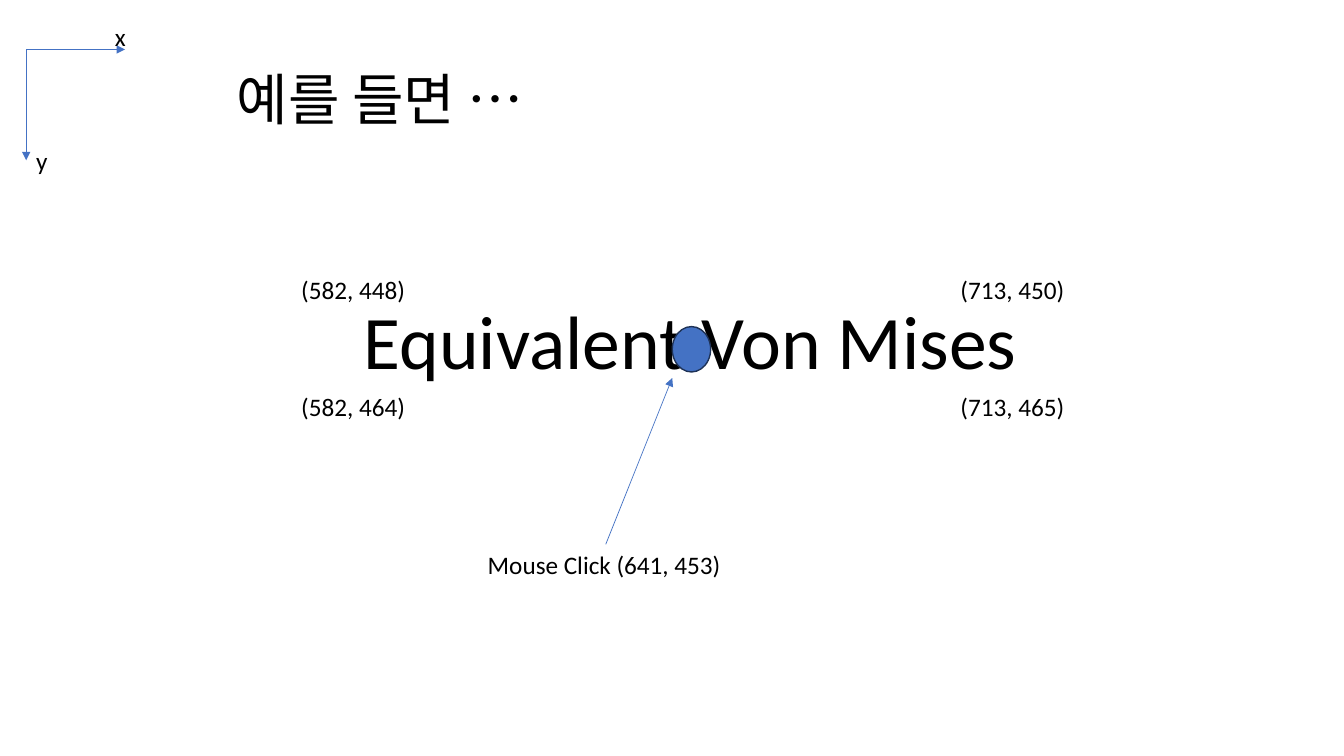
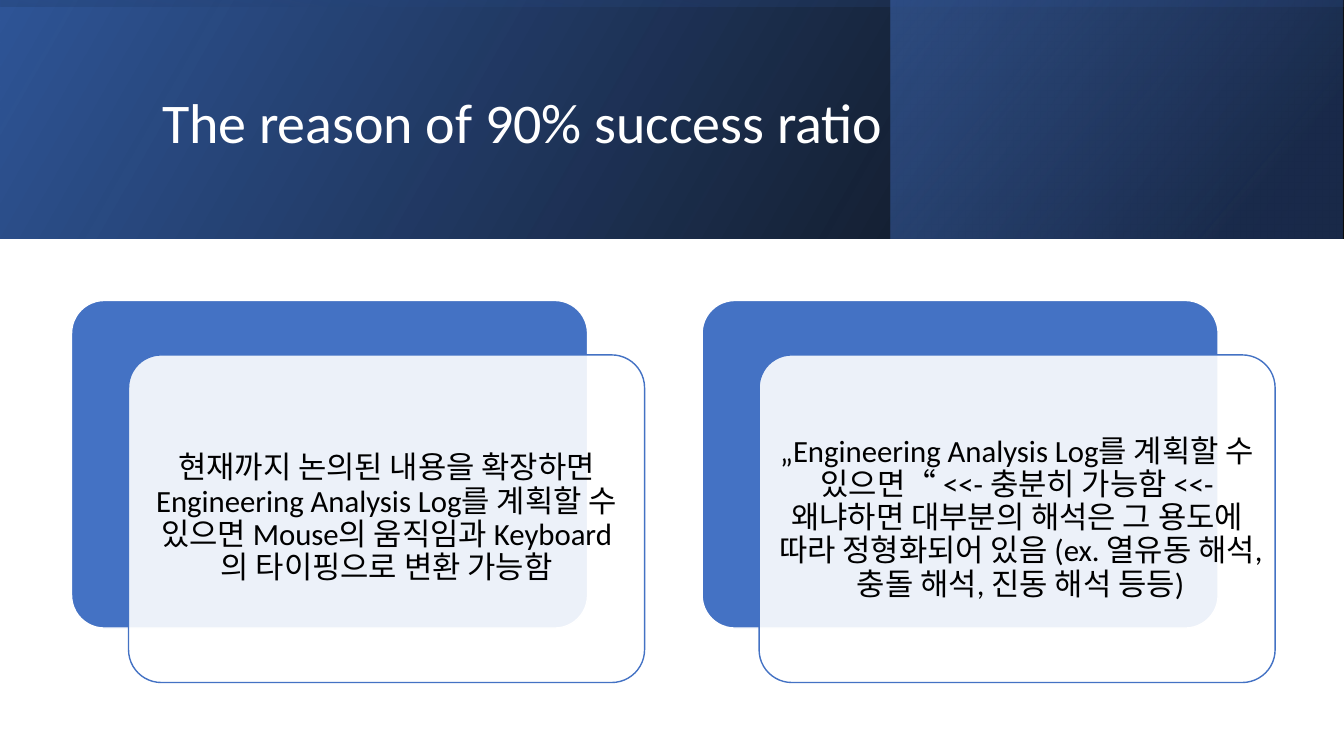
from lxml.etree import SubElement
from pptx import Presentation
from pptx.dml.color import RGBColor
from pptx.enum.shapes import MSO_CONNECTOR, MSO_SHAPE
from pptx.enum.text import MSO_ANCHOR, MSO_AUTO_SIZE, PP_ALIGN
from pptx.oxml.ns import qn
from pptx.util import Pt

FONT = "Calibri"
WIDE, HIGH = 960, 540
BAND = 170.6
COLORS = {
    "black": "000000",
    "white": "FFFFFF",
    "blue": "4472C4",
    "edge": "1E3256",
    "deep": "2F5597",
    "navy": "203864",
}


def color(name):
    return RGBColor.from_string(COLORS[name])


def points(*nums):
    return [Pt(num) for num in nums]


def fade(fill, percent):
    """Set the opacity of a colour element's parent."""
    tint = next(fill.iter(qn("a:srgbClr")))
    SubElement(tint, qn("a:alpha"), val=str(percent * 1000))


# Text
def write(frame, text, size, ink="black", space=None):
    frame.word_wrap = True
    para = frame.paragraphs[0]
    para.line_spacing = space
    run = para.add_run()
    run.text = text
    run.font.name = FONT
    run.font.size = Pt(size)
    run.font.color.rgb = color(ink)
    return para


def label(slide, text, left, top, width, height=28.8, size=18):
    frame = slide.shapes.add_textbox(*points(left, top, width, height)).text_frame
    write(frame, text, size)
    frame.auto_size = MSO_AUTO_SIZE.SHAPE_TO_FIT_TEXT


def title(slide, text, box, ink="black", space=None):
    frame = slide.shapes.add_textbox(*points(*box)).text_frame
    frame.vertical_anchor = MSO_ANCHOR.MIDDLE
    write(frame, text, 40, ink, space)


# Shapes and lines
def block(slide, kind, box, fill=None, line=None):
    shape = slide.shapes.add_shape(kind, *points(*box))
    shape.shadow.inherit = False
    if fill:
        shape.fill.solid()
        shape.fill.fore_color.rgb = color(fill)
    if line:
        shape.line.color.rgb = color(line)
        shape.line.width = Pt(1)
    else:
        shape.line.fill.background()
    return shape


def arrow(slide, start, end):
    line = slide.shapes.add_connector(MSO_CONNECTOR.STRAIGHT, *points(*start, *end))
    line.line.color.rgb = color("blue")
    line.line.width = Pt(0.5)
    SubElement(line.line._get_or_add_ln(), qn("a:tailEnd"), type="triangle")
    SubElement(line.element.spPr, qn("a:effectLst"))


def shade(slide, box, angle, stops, turn=0):
    """Draw a mirrored rectangle with a two-stop gradient."""
    shape = block(slide, MSO_SHAPE.RECTANGLE, box)
    shape.rotation = turn
    shape.element.spPr.xfrm.set("flipH", "1")
    shape.fill.gradient()
    shape.fill.gradient_angle = 360 - angle
    tags = shape.element.spPr.iter(qn("a:gs"))
    for stop, tag, (place, name, alpha) in zip(shape.fill.gradient_stops, tags, stops):
        stop.position = place / 100
        stop.color.rgb = color(name)
        if alpha < 100:
            fade(tag, alpha)


def card(slide, left, top, text):
    width, height = 368.6, 234
    back = block(slide, MSO_SHAPE.ROUNDED_RECTANGLE,
                 (left, top, width, height), "blue", "white")
    front = block(slide, MSO_SHAPE.ROUNDED_RECTANGLE,
                  (left + 40.7, top + 38.9, width, height), "white", "blue")
    for shape in (back, front):
        shape.adjustments[0] = 0.1
    fade(front.element.spPr.find(qn("a:solidFill")), 90)
    frame = front.text_frame
    frame.margin_left = frame.margin_right = Pt(6.5)
    frame.margin_top = frame.margin_bottom = Pt(6.5)
    frame.vertical_anchor = MSO_ANCHOR.MIDDLE
    write(frame, text, 22, space=0.9).alignment = PP_ALIGN.CENTER


# Slides
def sample(slide):
    label(slide, "Equivalent Von Mises", 252.7, 206.6, 525.6, 72.7, 54)

    # Corner points
    lefts, tops = (208.1, 679), (192.2, 275.8)
    rows = (("(582, 448)", "(713, 450)"), ("(582, 464)", "(713, 465)"))
    for top, row in zip(tops, rows):
        for left, text in zip(lefts, row):
            label(slide, text, left, top, 89.3)

    # Axes
    zero = (18.7, 35.3)
    arrow(slide, zero, (89.3, 35.3))
    arrow(slide, zero, (18.7, 114.5))
    label(slide, "x", 74.9, 11.5, 44.6)
    label(slide, "y", 18.7, 100.1, 44.6)

    title(slide, "예를 들면 …", (162, 42.5, 394.6, 55.4))

    # Mouse click
    block(slide, MSO_SHAPE.OVAL, (480.2, 233.3, 27.4, 32.4), "blue", "edge")
    arrow(slide, (432.7, 388.8), (480.2, 270))
    label(slide, "Mouse Click (641, 453)", 341.3, 388.8, 205.2)


def reason(slide):
    # Layered band
    shade(slide, (0, 0, WIDE, BAND), 330,
          ((0, "black", 96), (100, "deep", 100)))
    shade(slide, (636.5, 0, 322.6, BAND), 320,
          ((19, "navy", 68), (100, "blue", 48)))
    side = (WIDE - BAND) / 2
    shade(slide, (side, -side, BAND, WIDE), 350,
          ((23, "deep", 16), (99, "black", 45)), 270)
    title(slide, "The reason of 90% success ratio",
          (108.7, 27.4, 765.4, 123.8), "white", 0.9)

    # Cards
    texts = (
        "현재까지 논의된 내용을 확장하면 Engineering Analysis Log를 계획할 수 있으면 "
        "Mouse의 움직임과 Keyboard의 타이핑으로 변환 가능함",
        "„Engineering Analysis Log를 계획할 수 있으면“ <<- 충분히 가능함 <<- "
        "왜냐하면 대부분의 해석은 그 용도에 따라 정형화되어 있음 "
        "(ex. 열유동 해석, 충돌 해석, 진동 해석 등등)",
    )
    for num, text in enumerate(texts):
        card(slide, 51.1 + num * 450.4, 214.6, text)


def main():
    deck = Presentation()
    deck.slide_width, deck.slide_height = points(WIDE, HIGH)
    for draw in (sample, reason):
        draw(deck.slides.add_slide(deck.slide_layouts[6]))
    deck.save("out.pptx")


if __name__ == "__main__":
    main()
